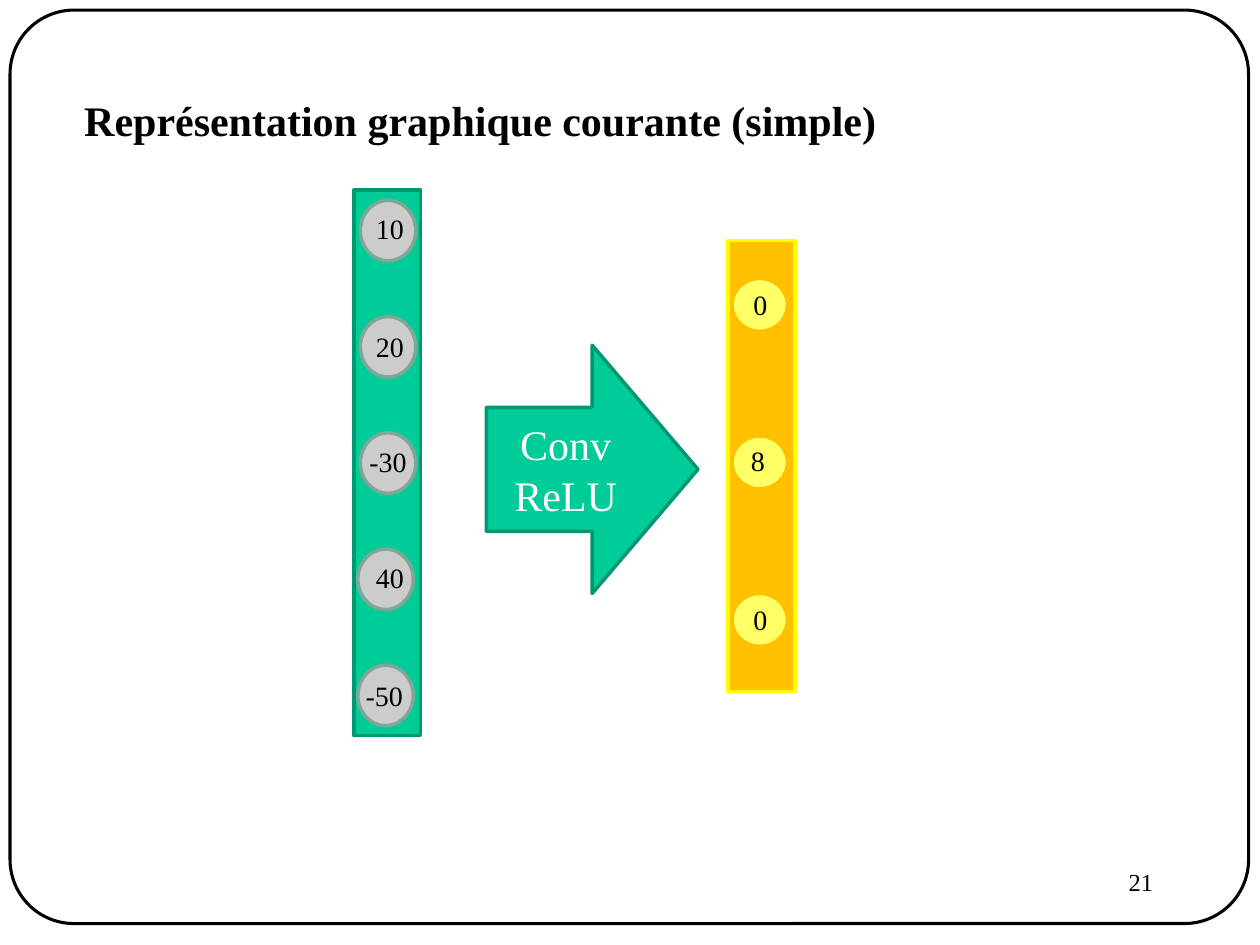
"""Build a slide showing a convolution with ReLU between two layers of values."""
from pptx import Presentation
from pptx.dml.color import RGBColor
from pptx.enum.shapes import MSO_SHAPE as Shape
from pptx.enum.text import MSO_ANCHOR as Anchor, MSO_AUTO_SIZE as AutoSize, PP_ALIGN as Align
from pptx.util import Inches, Pt

TITLE = "Représentation graphique courante (simple)"
PAGE_NUMBER = "21"
OPERATION = ["Conv", "ReLU"]

GREEN = {"fill": "00CC99", "line": "009771"}
GREY = {"fill": "CCCCCC", "line": "7EA795"}
ORANGE = {"fill": "FFC000", "line": "FFFF00"}
YELLOW = {"fill": "FFFF66", "line": "FFC000"}

LAYERS = [
    {
        "bar": (2.81, 1.51, 0.53, 4.33), "bar_style": GREEN,
        "neuron_size": (0.44, 0.48), "neuron_style": GREY,
        "first_top": 1.59, "pitch": 0.9225,
        "neurons": [("10", 2.86, (2.88, 1.63, 0.43)), ("20", 2.86, (2.88, 2.57, 0.43)),
                    ("-30", 2.86, (2.83, 3.48, 0.5)), ("40", 2.84, (2.88, 4.4, 0.43)),
                    ("-50", 2.84, (2.8, 5.34, 0.5))],
    },
    {
        "bar": (5.78, 1.91, 0.53, 3.58), "bar_style": ORANGE,
        "neuron_size": (0.44, 0.42), "neuron_style": YELLOW,
        "first_top": 2.21, "pitch": 1.25,
        "neurons": [("0", 5.81, (5.85, 2.23, 0.37)), ("8", 5.81, (5.83, 3.47, 0.37)),
                    ("0", 5.81, (5.85, 4.73, 0.37))],
    },
]


def color(hex_value):
    return RGBColor.from_string(hex_value)


def write(frame, lines, size, text_color="000000", bold=False, align=Align.LEFT):
    frame.text = "\n".join(lines)
    font_format = {"name": "Times New Roman", "size": Pt(size), "bold": bold}
    for paragraph in frame.paragraphs:
        paragraph.alignment = align
        for name, value in font_format.items():
            setattr(paragraph.font, name, value)
        paragraph.font.color.rgb = color(text_color)


def add_label(slide, box, text, size, frame_format, **text_format):
    frame = slide.shapes.add_textbox(*map(Inches, box)).text_frame
    write(frame, [text], size, **text_format)
    for name, value in frame_format.items():
        setattr(frame, name, value)


def add_figure(slide, kind, box, line, fill=None, width=2):
    figure = slide.shapes.add_shape(kind, *map(Inches, box))
    figure.shadow.inherit = False
    if fill:
        figure.fill.solid()
        figure.fill.fore_color.rgb = color(fill)
    else:
        figure.fill.background()
    figure.line.color.rgb = color(line)
    figure.line.width = Pt(width)
    return figure


def add_layer(slide, layer, fitted):
    add_figure(slide, Shape.RECTANGLE, layer["bar"], **layer["bar_style"])
    for index, (value, left, label) in enumerate(layer["neurons"]):
        top = layer["first_top"] + index * layer["pitch"]
        add_figure(slide, Shape.OVAL, (left, top, *layer["neuron_size"]), **layer["neuron_style"])
        add_label(slide, (*label, 0.37), value, 16, fitted, align=Align.CENTER)


def main():
    deck = Presentation()
    deck.slide_width, deck.slide_height = Inches(10), Inches(7.5)
    slide = deck.slides.add_slide(deck.slide_layouts[6])
    fitted = {"word_wrap": False, "auto_size": AutoSize.SHAPE_TO_FIT_TEXT}

    border = add_figure(slide, Shape.ROUNDED_RECTANGLE, (0.08, 0.08, 9.83, 7.25), "000000", width=1.75)
    border.adjustments[0] = 0.07
    add_label(slide, (0.57, 0.7, 6.55, 0.5), TITLE, 24, fitted, bold=True)
    add_label(slide, (7.17, 6.83, 2.08, 0.5), PAGE_NUMBER, 14, {"word_wrap": True}, align=Align.RIGHT)

    for layer in LAYERS:
        add_layer(slide, layer, fitted)

    arrow = add_figure(slide, Shape.RIGHT_ARROW, (3.86, 2.74, 1.68, 1.97), **GREEN)
    arrow.text_frame.vertical_anchor = Anchor.MIDDLE
    write(arrow.text_frame, OPERATION, 24, "FFFFFF", align=Align.CENTER)

    deck.save("out.pptx")


if __name__ == "__main__":
    main()
